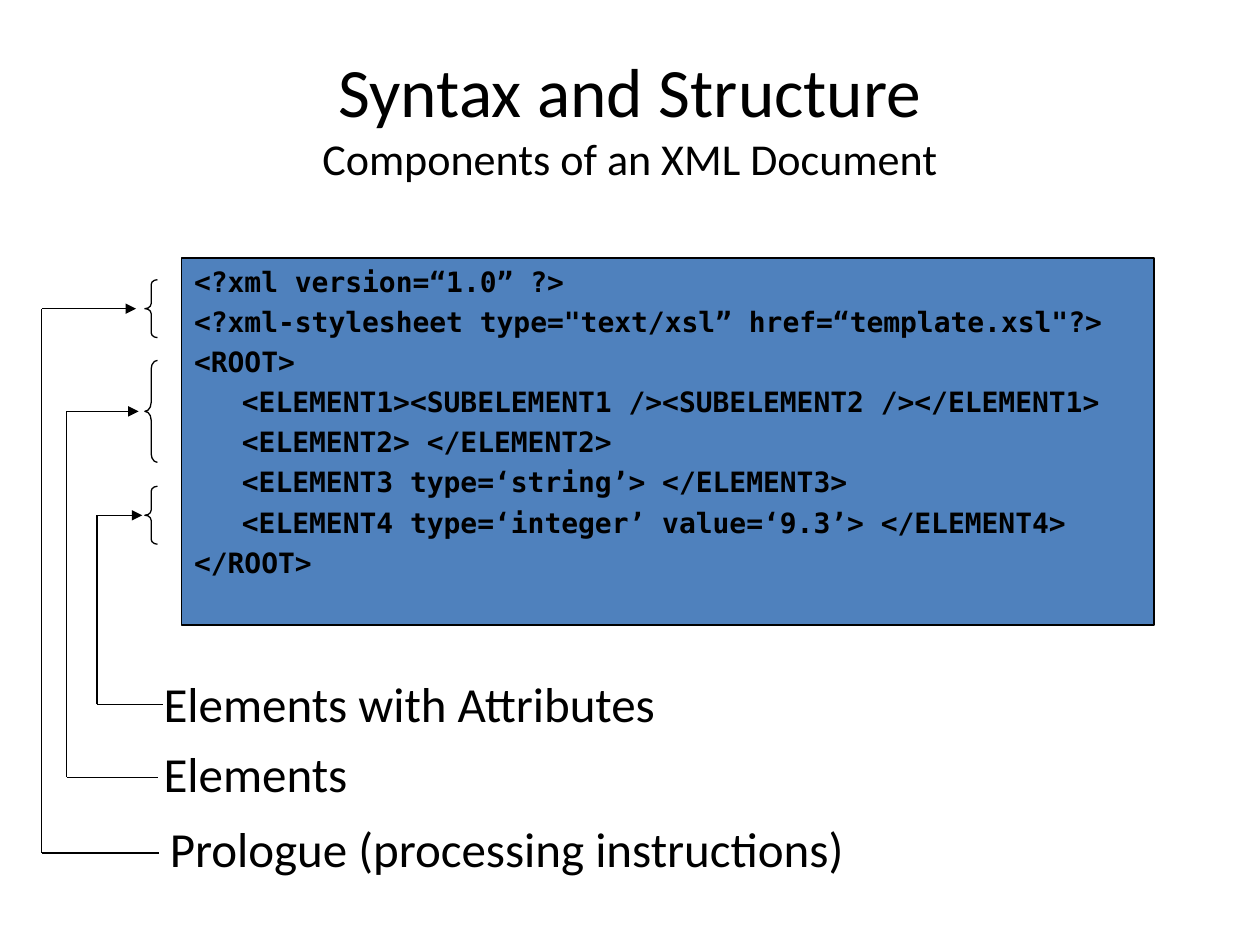
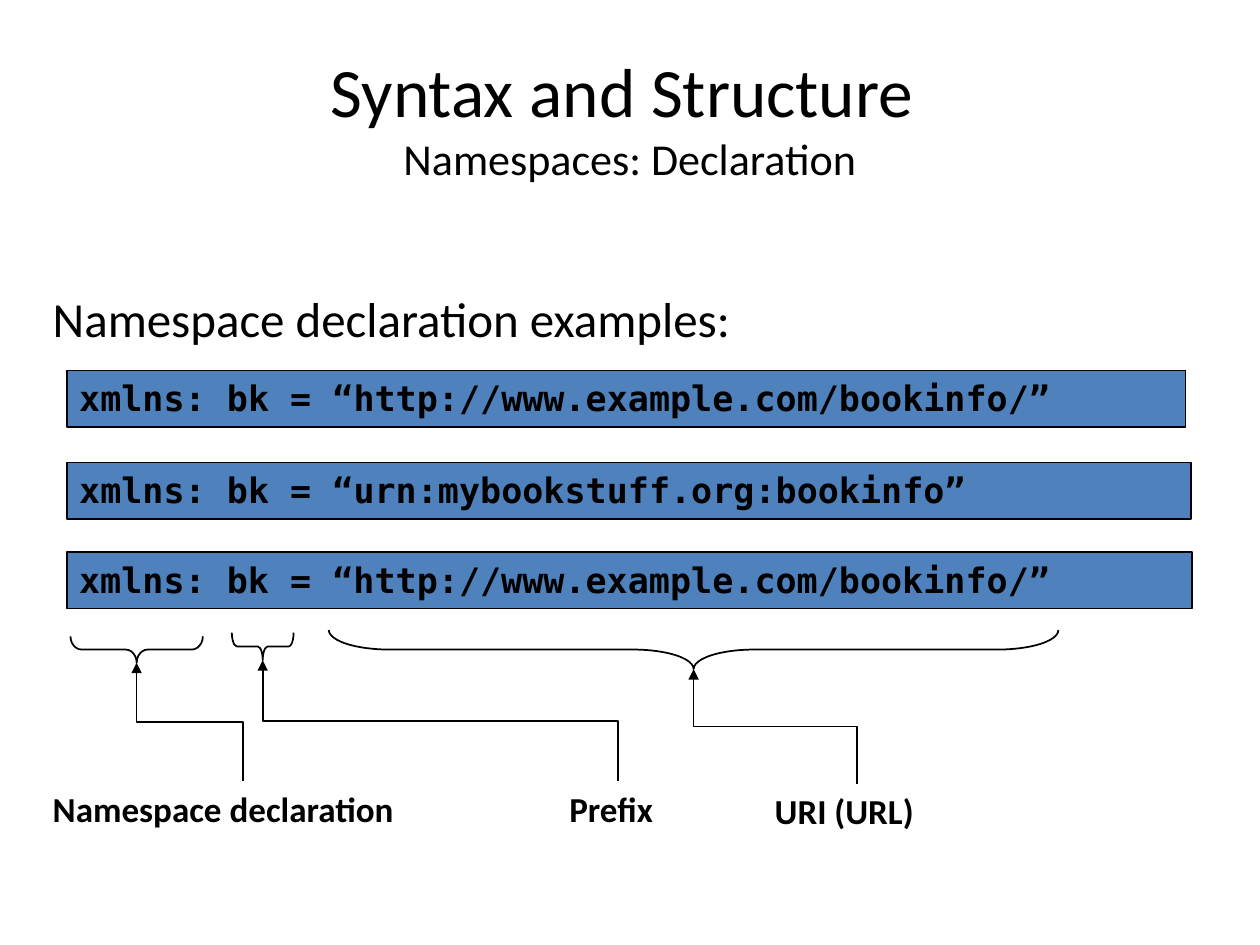
from dataclasses import dataclass

from lxml import etree
from pptx import Presentation
from pptx.dml.color import RGBColor
from pptx.enum import shapes, text
from pptx.oxml import ns
from pptx.util import Inches, Pt


@dataclass(frozen=True)
class Theme:
    ink: RGBColor = RGBColor(0, 0, 0)
    panel: RGBColor = RGBColor(0x4F, 0x81, 0xBD)
    body_font: str = "Calibri"
    code_font: str = "DejaVu Sans Mono"
    title_size: float = 39.6
    subtitle_size: float = 25.2
    label_size: float = 28
    small_size: float = 20
    listing_size: float = 16
    line_gap: float = 3.7
    thin: float = 0.75
    medium: float = 1


THEME = Theme()
TITLE_BOX = (0.5, 0.3, 9, 1.25)
LISTING_BOX = (1.44, 2.05, 7.72, 2.91)
LISTING_INDENT = 0.38

# Indent level and code of each line
LISTING = [
    (0, "<?xml version=“1.0” ?>"),
    (0, "<?xml-stylesheet type=\"text/xsl” href=“template.xsl\"?>"),
    (0, "<ROOT>"),
    (1, "<ELEMENT1><SUBELEMENT1 /><SUBELEMENT2 /></ELEMENT1>"),
    (1, "<ELEMENT2> </ELEMENT2>"),
    (1, "<ELEMENT3 type=‘string’> </ELEMENT3>"),
    (1, "<ELEMENT4 type=‘integer’ value=‘9.3’> </ELEMENT4>"),
    (0, "</ROOT>"),
]

# Label, its box, brace box, brace curl, rail x, arrow tip x, stub (right, y)
CALLOUTS = [
    ("Prologue (processing instructions)", (1.25, 6.45, 6.09, 0.57),
     (1.15, 2.22, 0.1, 0.46), 0.39, 0.33, 1.08, (1.26, 6.77)),
    ("Elements", (1.2, 5.85, 1.82, 0.57),
     (1.15, 2.86, 0.1, 0.81), 0.69, 0.53, 1.1, (1.25, 6.17)),
    ("Elements with Attributes", (1.2, 5.3, 4.38, 0.57),
     (1.15, 3.86, 0.1, 0.46), 0.4, 0.77, 1.13, (1.29, 5.59)),
]

# Code and box of each declaration
DECLARATIONS = [
    ("xmlns: bk = “http://www.example.com/bookinfo/”", (0.53, 2.94, 8.88, 0.45)),
    ("xmlns: bk = “urn:mybookstuff.org:bookinfo”", (0.53, 3.67, 8.92, 0.45)),
    ("xmlns: bk = “http://www.example.com/bookinfo/”", (0.53, 4.38, 8.93, 0.45)),
]

# Label, its box, visible box of the brace, brace curl
DECLARATION_PARTS = [
    ("Namespace declaration", (0.32, 6.2, 3.22, 0.43), (0.56, 5.05, 1.05, 0.21), 0.42),
    ("Prefix", (4.42, 6.2, 0.97, 0.43), (1.84, 5.02, 0.49, 0.22), 0.18),
    ("URI (URL)", (6.05, 6.22, 1.51, 0.43), (2.61, 5, 5.79, 0.31), 1.55),
]


def inches(values):
    return [Inches(value) for value in values]


def add_run(paragraph, words, size, font=THEME.body_font, bold=False):
    run = paragraph.add_run()
    run.text = words
    run.font.name = font
    run.font.size = Pt(size)
    run.font.bold = bold
    run.font.color.rgb = THEME.ink


def draw_line(line, width):
    line.color.rgb = THEME.ink
    line.width = Pt(width)


def fill_panel(shape):
    shape.fill.solid()
    shape.fill.fore_color.rgb = THEME.panel
    draw_line(shape.line, THEME.medium)


def add_label(slide, words, box, size=THEME.label_size, bold=False):
    label = slide.shapes.add_textbox(*inches(box))
    frame = label.text_frame
    frame.word_wrap = False
    frame.auto_size = text.MSO_AUTO_SIZE.SHAPE_TO_FIT_TEXT
    add_run(frame.paragraphs[0], words, size, bold=bold)


def add_brace(slide, box, curl, width):
    brace = slide.shapes.add_shape(shapes.MSO_SHAPE.LEFT_BRACE, *inches(box))
    brace.adjustments[0] = curl
    brace.shadow.inherit = False
    brace.fill.background()
    draw_line(brace.line, width)
    return brace


def add_line(slide, start, end, width, arrow=False,
             kind=shapes.MSO_CONNECTOR.STRAIGHT):
    connector = slide.shapes.add_connector(kind, *inches(start + end))
    draw_line(connector.line, width)
    properties = connector.element.spPr
    if arrow:
        outline = properties.find(ns.qn("a:ln"))
        etree.SubElement(outline, ns.qn("a:tailEnd"), type="triangle")
    etree.SubElement(properties, ns.qn("a:effectLst"))
    return connector


def add_rising_elbow(slide, start, end):
    """Elbow arrow that leaves and arrives vertically, as a quarter-turned elbow."""
    center_x, center_y = (start[0] + end[0]) / 2, (start[1] + end[1]) / 2
    half_run, half_rise = (start[0] - end[0]) / 2, (start[1] - end[1]) / 2
    elbow = add_line(slide, (center_x + half_rise, center_y - half_run),
                     (center_x - half_rise, center_y + half_run),
                     THEME.medium, arrow=True, kind=shapes.MSO_CONNECTOR.ELBOW)
    elbow.element.spPr.find(ns.qn("a:xfrm")).set("rot", str(90 * 60000))


def place(shape, box):
    shape.left, shape.top, shape.width, shape.height = inches(box)


def set_title(slide, heading, subtitle, box=TITLE_BOX):
    title = slide.shapes.title
    place(title, box)
    frame = title.text_frame
    frame.auto_size = text.MSO_AUTO_SIZE.NONE
    frame.vertical_anchor = text.MSO_ANCHOR.MIDDLE
    paragraph = frame.paragraphs[0]
    paragraph.alignment = text.PP_ALIGN.CENTER
    add_run(paragraph, heading, THEME.title_size)
    paragraph.add_line_break()
    add_run(paragraph, subtitle, THEME.subtitle_size)


def set_listing(slide, lines, box):
    body = slide.placeholders[1]
    place(body, box)
    fill_panel(body)
    frame = body.text_frame
    frame.auto_size = text.MSO_AUTO_SIZE.NONE
    for index, (level, code) in enumerate(lines):
        paragraph = frame.add_paragraph() if index else frame.paragraphs[0]
        properties = paragraph._p.get_or_add_pPr()
        properties.set("marL", str(Inches(level * LISTING_INDENT)))
        properties.set("indent", "0")
        etree.SubElement(properties, ns.qn("a:buNone"))
        paragraph.space_before = Pt(THEME.line_gap if index else 0)
        add_run(paragraph, code, THEME.listing_size, THEME.code_font, bold=True)


def add_callout(slide, words, label_box, brace_box, curl, rail_x, tip_x, stub):
    """Label tied to a brace by a stub, a vertical rail and an arrow."""
    add_label(slide, words, label_box)
    add_brace(slide, brace_box, curl, THEME.thin)
    _, brace_top, _, brace_height = brace_box
    arrow_y = brace_top + brace_height / 2
    corner = (rail_x, stub[1])
    add_line(slide, stub, corner, THEME.thin)
    add_line(slide, corner, (rail_x, arrow_y), THEME.thin)
    add_line(slide, (rail_x, arrow_y), (tip_x, arrow_y), THEME.thin, arrow=True)


def add_declaration(slide, code, box):
    bar = slide.shapes.add_shape(shapes.MSO_SHAPE.RECTANGLE, *inches(box))
    bar.shadow.inherit = False
    fill_panel(bar)
    frame = bar.text_frame
    frame.word_wrap = True
    frame.auto_size = text.MSO_AUTO_SIZE.SHAPE_TO_FIT_TEXT
    frame.vertical_anchor = text.MSO_ANCHOR.TOP
    paragraph = frame.paragraphs[0]
    paragraph.alignment = text.PP_ALIGN.LEFT
    add_run(paragraph, code, THEME.small_size, THEME.code_font, bold=True)


def add_declaration_part(slide, words, label_box, brace_box, curl):
    """Label with an elbow arrow up to a brace that opens upward."""
    add_label(slide, words, label_box, THEME.small_size, bold=True)
    left, top, span, depth = brace_box
    center_x, center_y = left + span / 2, top + depth / 2
    upright_box = (center_x - depth / 2, center_y - span / 2, depth, span)
    add_brace(slide, upright_box, curl, THEME.medium).rotation = 270
    label_left, label_top, label_width, _ = label_box
    add_rising_elbow(slide, (label_left + label_width / 2, label_top),
                     (center_x, top + depth))


def build_components_slide(presentation):
    slide = presentation.slides.add_slide(presentation.slide_layouts[1])
    set_title(slide, "Syntax and Structure", "Components of an XML Document")
    set_listing(slide, LISTING, LISTING_BOX)
    for callout in CALLOUTS:
        add_callout(slide, *callout)


def build_namespaces_slide(presentation):
    slide = presentation.slides.add_slide(presentation.slide_layouts[5])
    set_title(slide, "Syntax and Structure ", "Namespaces: Declaration")
    add_label(slide, "Namespace declaration examples:", (0.32, 2.24, 6.18, 0.57))
    for declaration in DECLARATIONS:
        add_declaration(slide, *declaration)
    for part in DECLARATION_PARTS:
        add_declaration_part(slide, *part)


def main():
    presentation = Presentation()
    presentation.slide_width = Inches(10)
    presentation.slide_height = Inches(7.5)
    build_components_slide(presentation)
    build_namespaces_slide(presentation)
    presentation.save("out.pptx")


if __name__ == "__main__":
    main()
